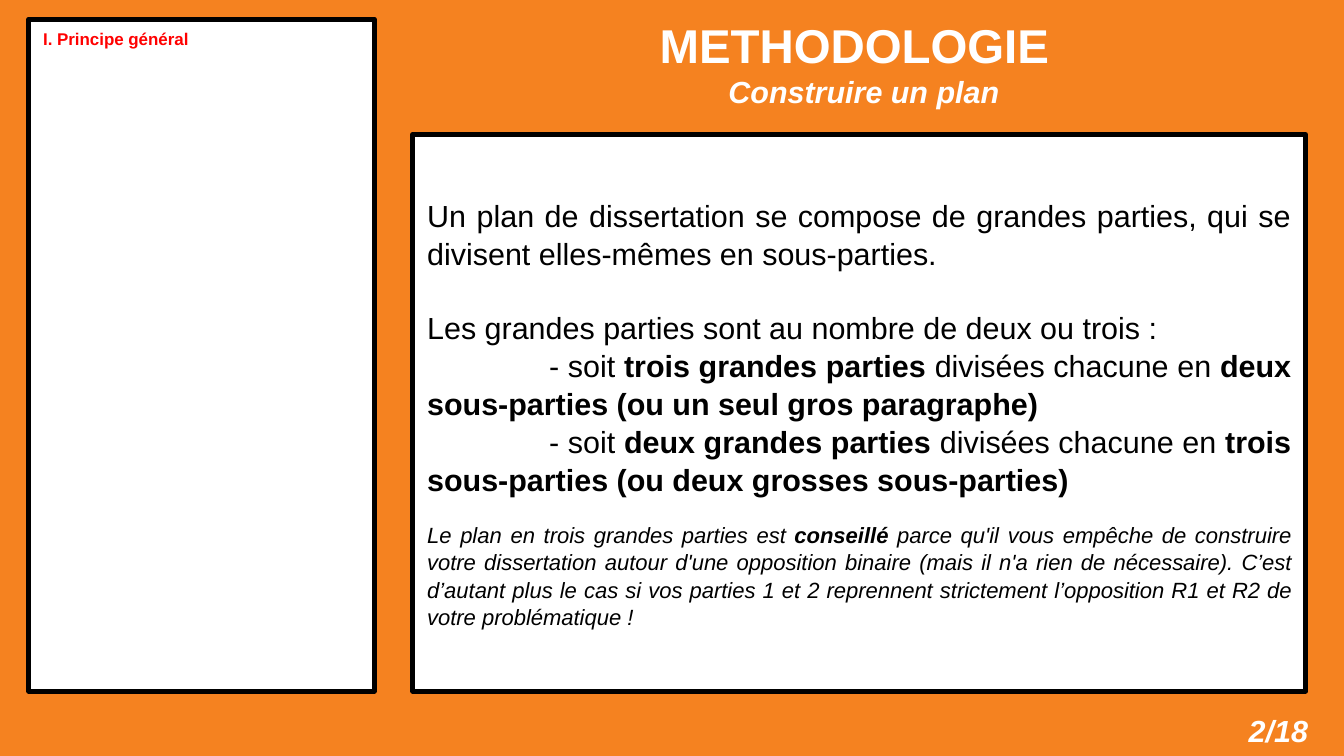
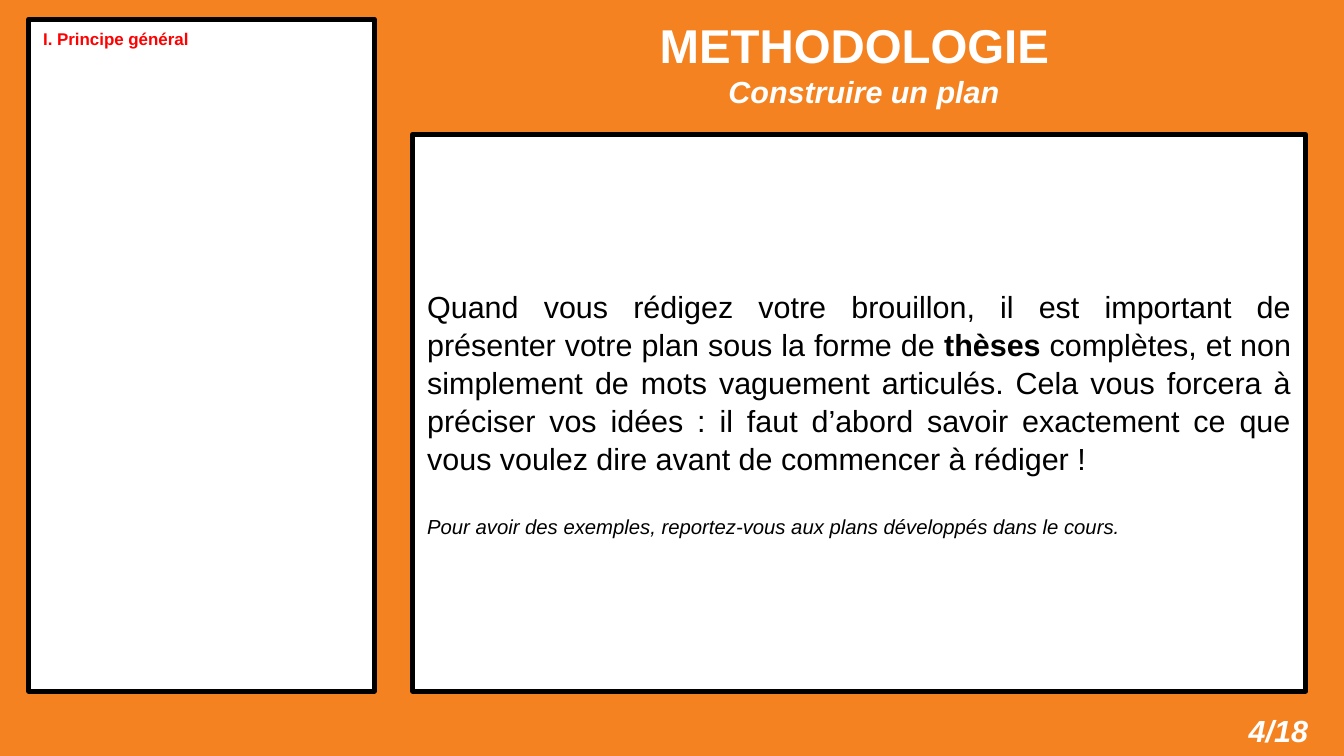
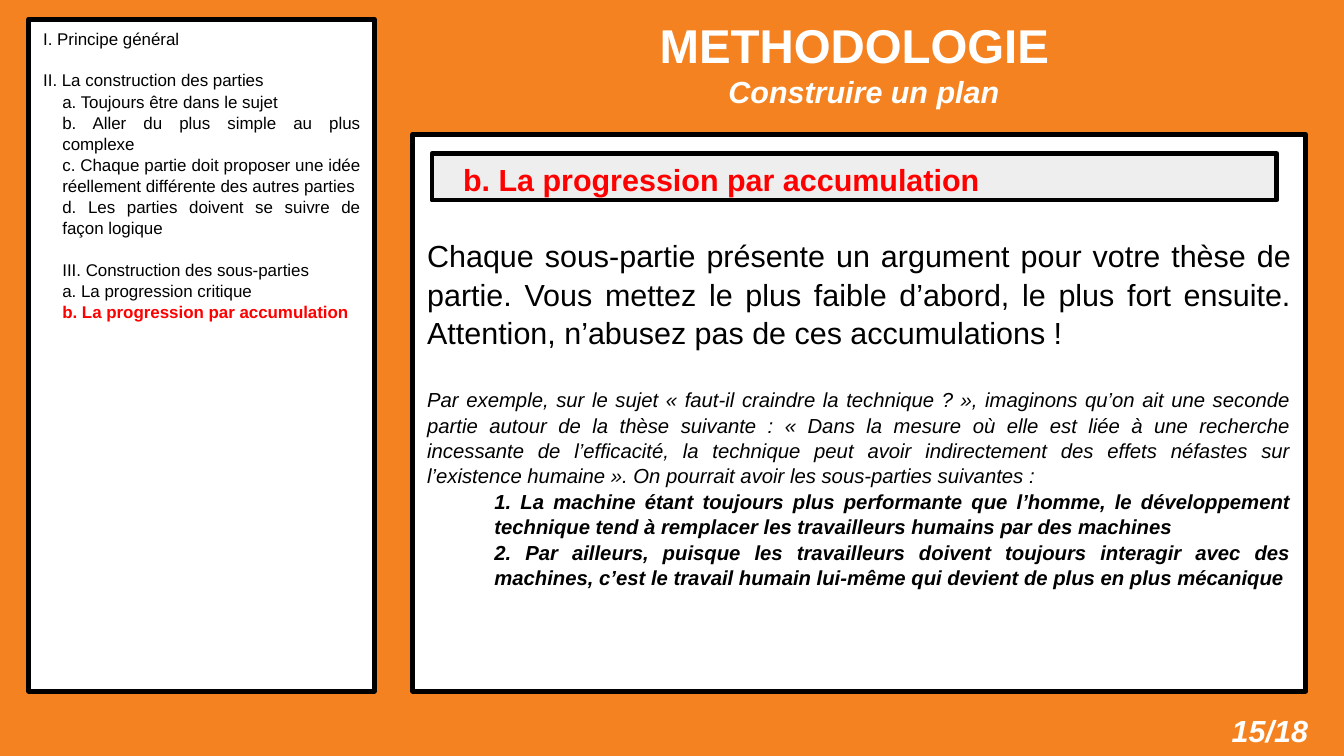
from dataclasses import dataclass

from lxml import etree
from pptx import Presentation
from pptx.dml.color import RGBColor
from pptx.enum.shapes import MSO_SHAPE
from pptx.enum.text import MSO_ANCHOR, PP_ALIGN
from pptx.oxml.ns import qn
from pptx.util import Cm, Pt

RECT = MSO_SHAPE.RECTANGLE
TOP, MIDDLE = MSO_ANCHOR.TOP, MSO_ANCHOR.MIDDLE
CENTER, RIGHT, JUSTIFY = PP_ALIGN.CENTER, PP_ALIGN.RIGHT, PP_ALIGN.JUSTIFY

FONT = "Arial"
COLORS = {"orange": "F58220", "white": "FFFFFF", "black": "000000",
          "red": "FF0000", "grey": "EEEEEE"}
TOTAL = 18


def rgb(name):
    return RGBColor.from_string(COLORS[name])


@dataclass
class Para:
    """One paragraph; ** switches bold on and off. Lengths in cm, before in points."""
    text: str
    size: int = 18
    color: str = "black"
    bold: bool = False
    italic: bool = False
    align: int = JUSTIFY
    left: float = 0
    right: float = 0
    first: float = 0
    before: float = 0
    spacing: float = 1.04


class Deck:
    def __init__(self):
        self.prs = Presentation()
        self.prs.slide_width, self.prs.slide_height = Cm(28), Cm(15.75)
        self.s = None

    def slide(self, number, outline, body):
        """Add a slide with the shared frame: title, page number, two panels."""
        self.s = self.prs.slides.add_slide(self.prs.slide_layouts[6])
        fill = self.s.background.fill
        fill.solid()
        fill.fore_color.rgb = rgb("orange")
        self.text((8.6, 0, 18.6, 2.6), [
            Para("METHODOLOGIE", 28, "white", True, align=CENTER, right=0.2, spacing=1),
            Para("Construire un plan", 18, "white", True, True, CENTER, left=0.2, spacing=1),
        ], MIDDLE)
        self.text((24.8, 14.7, 2.7, 1.05), [
            Para(f"{number}/{TOTAL}", 18, "white", True, True, RIGHT, spacing=1)])
        self.panel((0.6, 0.4, 7.2, 14), outline)
        self.panel((8.6, 2.8, 18.6, 11.6), body, MIDDLE)

    def text(self, box, paras, anchor=TOP):
        sp = self.s.shapes.add_textbox(*map(Cm, box))
        self.set_text(sp, paras, anchor, (0.25, 0.13))

    def panel(self, box, paras, anchor=TOP, fill="white", insets=(0.3, 0.18)):
        sp = self.s.shapes.add_shape(RECT, *map(Cm, box))
        sp.shadow.inherit = False
        sp.fill.solid()
        sp.fill.fore_color.rgb = rgb(fill)
        sp.line.color.rgb = rgb("black")
        sp.line.width = Pt(2.83)
        # Rounded line joins
        etree.SubElement(sp.element.spPr.find(qn("a:ln")), qn("a:round"))
        self.set_text(sp, paras, anchor, insets)

    def band(self, heading):
        self.panel((9, 3.2, 17.6, 0.97), [Para(heading, color="red", bold=True, left=0.4)],
                   fill="grey", insets=(0.25, 0.13))

    def set_text(self, sp, paras, anchor, insets):
        tf = sp.text_frame
        tf.word_wrap = True
        tf.vertical_anchor = anchor
        tf.margin_left = tf.margin_right = Cm(insets[0])
        tf.margin_top = tf.margin_bottom = Cm(insets[1])
        for i, para in enumerate(paras):
            p = tf.add_paragraph() if i else tf.paragraphs[0]
            p.alignment = para.align
            p.line_spacing = para.spacing
            p.space_before = Pt(para.before)
            p.font.name, p.font.size = FONT, Pt(para.size)
            p.font.bold, p.font.italic = para.bold, para.italic
            p.font.color.rgb = rgb(para.color)
            pPr = p._p.get_or_add_pPr()
            for key, cm in (("marL", para.left), ("marR", para.right), ("indent", para.first)):
                pPr.set(key, str(Cm(cm)))
            for j, part in enumerate(para.text.split("**")):
                if part:
                    r = p.add_run()
                    r.text = part
                    if j % 2:
                        r.font.bold = True


def entry(text, left=0.4, before=0, current=False):
    """A line of the outline panel; the current one is bold red."""
    return Para(text, 10, "red" if current else "black", current, left=left, before=before)


def main():
    deck = Deck()
    principle = [entry("I. Principe général", 0, current=True)]

    # General principle: number of parts
    deck.slide(2, principle, [
        Para("Un plan de dissertation se compose de grandes parties, qui se divisent "
             "elles-mêmes en sous-parties."),
        Para("Les grandes parties sont au nombre de deux ou trois :", before=21.6),
        Para("- soit **trois grandes parties **divisées chacune en "
             "**deux sous-parties (ou un seul gros paragraphe)**", first=2.54),
        Para("- soit **deux grandes parties** divisées chacune en "
             "**trois sous-parties (ou deux grosses sous-parties)**", first=2.54),
        Para("Le plan en trois grandes parties est **conseillé** parce qu'il vous empêche de "
             "construire votre dissertation autour d'une opposition binaire (mais il n'a rien "
             "de nécessaire). C’est d’autant plus le cas si vos parties 1 et 2 reprennent "
             "strictement l’opposition R1 et R2 de votre problématique !",
             13, italic=True, before=13.2),
    ])

    # General principle: theses
    deck.slide(4, principle, [
        Para("Quand vous rédigez votre brouillon, il est important de présenter votre plan "
             "sous la forme de **thèses** complètes, et non simplement de mots vaguement "
             "articulés. Cela vous forcera à préciser vos idées : il faut d’abord savoir "
             "exactement ce que vous voulez dire avant de commencer à rédiger !"),
        Para("Pour avoir des exemples, reportez-vous aux plans développés dans le cours.",
             12, italic=True, before=21.6),
    ])

    # Sub-parts: progression by accumulation
    heading = "b. La progression par accumulation"
    deck.slide(15, [
        entry("I. Principe général", 0),
        entry("II. La construction des parties", 0, before=12),
        entry("a. Toujours être dans le sujet"),
        entry("b. Aller du plus simple au plus complexe"),
        entry("c. Chaque partie doit proposer une idée réellement différente des autres parties"),
        entry("d. Les parties doivent se suivre de façon logique"),
        entry("III. Construction des sous-parties", before=12),
        entry("a. La progression critique"),
        entry(heading, current=True),
    ], [
        Para("Chaque sous-partie présente un argument pour votre thèse de partie. Vous mettez "
             "le plus faible d’abord, le plus fort ensuite. Attention, n’abusez pas de ces "
             "accumulations !"),
        Para("Par exemple, sur le sujet « faut-il craindre la technique ? », imaginons qu’on "
             "ait une seconde partie autour de la thèse suivante : « Dans la mesure où elle "
             "est liée à une recherche incessante de l’efficacité, la technique peut avoir "
             "indirectement des effets néfastes sur l’existence humaine ». On pourrait avoir "
             "les sous-parties suivantes :", 12, italic=True, before=21.6),
        Para("1. La machine étant toujours plus performante que l’homme, le développement "
             "technique tend à remplacer les travailleurs humains par des machines",
             12, bold=True, italic=True, left=1.4),
        Para("2. Par ailleurs, puisque les travailleurs doivent toujours interagir avec des "
             "machines, c’est le travail humain lui-même qui devient de plus en plus mécanique",
             12, bold=True, italic=True, left=1.4),
    ])
    deck.band(heading)

    deck.prs.save("out.pptx")


if __name__ == "__main__":
    main()
